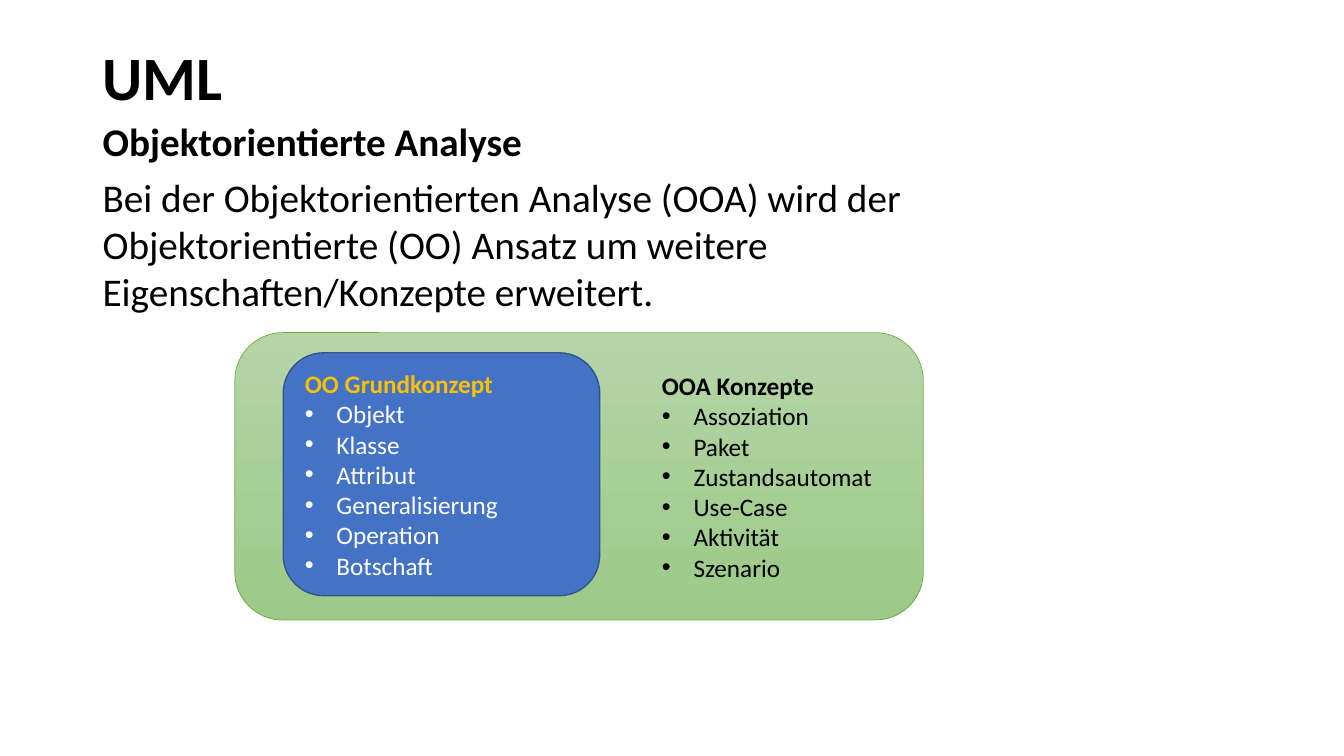
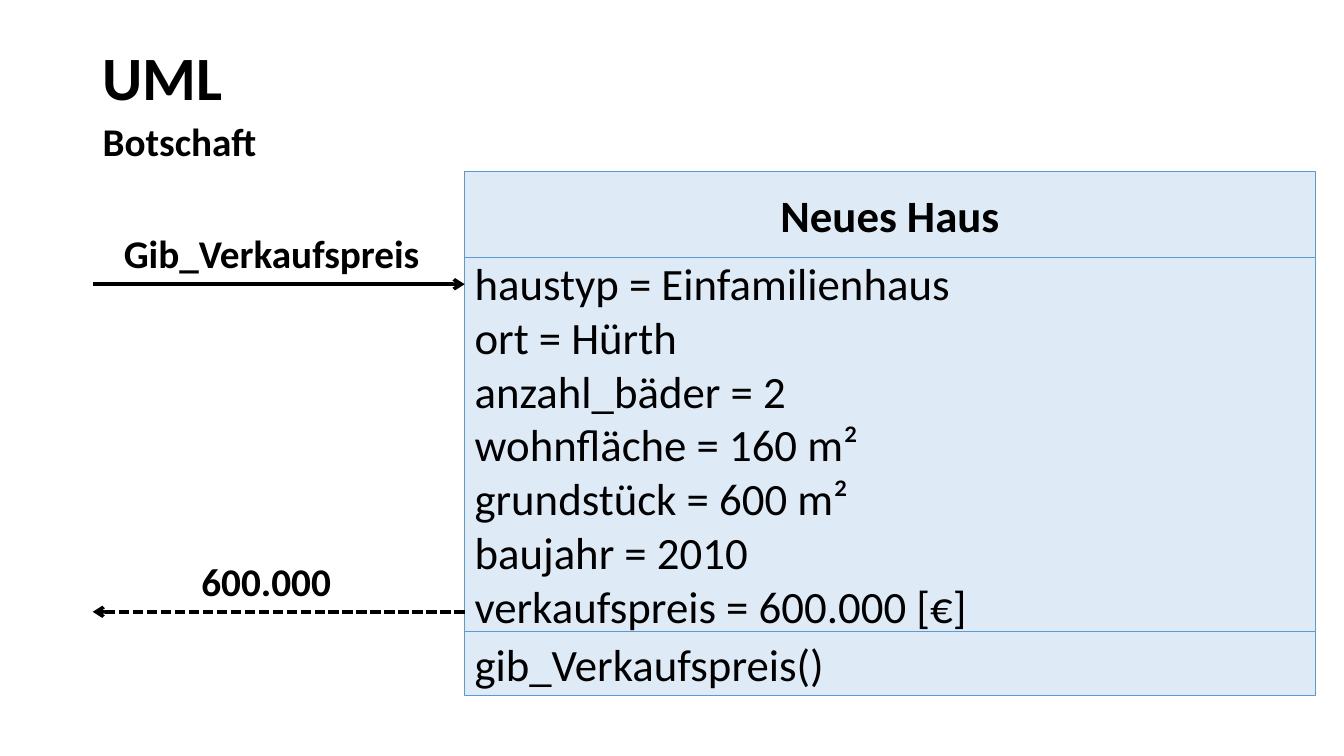
from dataclasses import dataclass
from typing import Optional, Sequence

import lxml.etree
import pptx
import pptx.dml.color
import pptx.enum.dml
import pptx.enum.shapes
import pptx.enum.text
import pptx.oxml.ns
import pptx.util

ALIGN = pptx.enum.text.PP_ALIGN
ANCHOR = pptx.enum.text.MSO_ANCHOR
SHAPE = pptx.enum.shapes.MSO_SHAPE
qn = pptx.oxml.ns.qn

FONT = "Calibri"
COLORS = {
    "text": "000000",
    "light": "FFFFFF",
    "accent": "FFC000",
    "core": "4472C4",
    "core_edge": "325491",
    "analysis_top": "B5D5A7",
    "analysis_bottom": "9CC987",
    "analysis_edge": "70AD47",
    "object": "DEEBF7",
    "object_edge": "5B9BD5",
}

# Grid of square cells, ten to the inch
CELL = pptx.util.Inches(0.1)
COLUMNS, ROWS = 133.33, 75
MARGIN = 9.2
HANGING = 3.13


@dataclass(frozen=True)
class Area:
    col: float
    row: float
    cols: float
    rows: float

    def emu(self) -> list[int]:
        return [cells(n) for n in (self.col, self.row, self.cols, self.rows)]


@dataclass(frozen=True)
class ConceptBox:
    area: Area
    heading: str
    concepts: Sequence[str]
    fills: Sequence[str]
    edge: str
    edge_width: float
    heading_color: str
    concept_color: str
    indent: float = 0


@dataclass(frozen=True)
class Compartment:
    rows: float
    lines: Sequence[str]
    bold: bool = False
    align: ALIGN = ALIGN.LEFT


@dataclass(frozen=True)
class Message:
    label: str
    row: float
    label_col: float
    label_cols: float
    reply: bool = False


CONCEPT_BOXES = (
    ConceptBox(Area(23.3, 33, 68.3, 28.5), "OOA Konzepte",
               ("Assoziation", "Paket", "Zustandsautomat", "Use-Case", "Aktivität", "Szenario"),
               ("analysis_top", "analysis_bottom"), "analysis_edge", 0.5,
               "text", "text", indent=40),
    ConceptBox(Area(28.1, 35, 31.4, 24.1), "OO Grundkonzept",
               ("Objekt", "Klasse", "Attribut", "Generalisierung", "Operation", "Botschaft"),
               ("core",), "core_edge", 1, "accent", "light"),
)

OBJECT_COL, OBJECT_ROW, OBJECT_COLS = 46.1, 17, 84.4
COMPARTMENTS = (
    Compartment(8.5, ("Neues Haus",), bold=True, align=ALIGN.CENTER),
    Compartment(37.1, ("haustyp = Einfamilienhaus", "ort = Hürth", "anzahl_bäder = 2",
                       "wohnfläche = 160 m²", "grundstück = 600 m²", "baujahr = 2010",
                       "verkaufspreis = 600.000 [€]")),
    Compartment(6.4, ("gib_Verkaufspreis()",)),
)
MESSAGES = (
    Message("Gib_Verkaufspreis", 28.2, 11.3, 31.6),
    Message("600.000", 60.7, 19, 16.3, reply=True),
)


def cells(count: float) -> int:
    return round(count * CELL)


def rgb(name: str) -> pptx.dml.color.RGBColor:
    return pptx.dml.color.RGBColor.from_string(COLORS[name])


def write(frame, text: str, *, size: float, color: str = "text", bold: bool = False,
          align: ALIGN = ALIGN.LEFT, spacing: Optional[float] = None,
          indent: float = 0, bullet: bool = False) -> None:
    """Add one paragraph, using the empty first one if it is still free."""
    paragraph = frame.paragraphs[0] if not frame.text else frame.add_paragraph()
    properties = paragraph._p.get_or_add_pPr()
    properties.set("marL", str(cells(indent + (HANGING if bullet else 0))))
    properties.set("indent", str(-cells(HANGING) if bullet else 0))
    paragraph.alignment = align
    if spacing:
        paragraph.line_spacing = spacing
    if bullet:
        lxml.etree.SubElement(properties, qn("a:buFont"), typeface="Arial")
        lxml.etree.SubElement(properties, qn("a:buChar"), char="•")
    run = paragraph.add_run()
    run.text = text
    run.font.name = FONT
    run.font.size = pptx.util.Pt(size)
    run.font.bold = bold
    run.font.color.rgb = rgb(color)


def add_text(slide, area: Area, text: str, *, anchor: ANCHOR = ANCHOR.TOP,
             wrap: bool = True, **text_format) -> None:
    frame = slide.shapes.add_textbox(*area.emu()).text_frame
    frame.word_wrap = wrap
    frame.vertical_anchor = anchor
    write(frame, text, **text_format)


def add_panel(slide, kind: SHAPE, area: Area, fills: Sequence[str], edge: str,
              edge_width: float):
    """Draw a filled outline and return its text frame."""
    panel = slide.shapes.add_shape(kind, *area.emu())
    panel.shadow.inherit = False
    if len(fills) > 1:
        panel.fill.gradient()
        panel.fill.gradient_angle = 270
        for stop, name in zip(panel.fill.gradient_stops, fills):
            stop.color.rgb = rgb(name)
    else:
        panel.fill.solid()
        panel.fill.fore_color.rgb = rgb(fills[0])
    panel.line.color.rgb = rgb(edge)
    panel.line.width = pptx.util.Pt(edge_width)
    panel.text_frame.word_wrap = True
    panel.text_frame.vertical_anchor = ANCHOR.MIDDLE
    return panel.text_frame


def add_concept_box(slide, box: ConceptBox) -> None:
    frame = add_panel(slide, SHAPE.ROUNDED_RECTANGLE, box.area, box.fills, box.edge,
                      box.edge_width)
    write(frame, box.heading, size=18, color=box.heading_color, bold=True, indent=box.indent)
    for concept in box.concepts:
        write(frame, concept, size=18, color=box.concept_color, indent=box.indent, bullet=True)


def add_object(slide) -> None:
    row = OBJECT_ROW
    for part in COMPARTMENTS:
        frame = add_panel(slide, SHAPE.RECTANGLE, Area(OBJECT_COL, row, OBJECT_COLS, part.rows),
                          ("object",), "object_edge", 0.5)
        for line in part.lines:
            write(frame, line, size=32, bold=part.bold, align=part.align)
        row += part.rows


def add_message(slide, message: Message) -> None:
    start, end = (OBJECT_COL, MARGIN) if message.reply else (MARGIN, OBJECT_COL)
    arrow = slide.shapes.add_connector(
        pptx.enum.shapes.MSO_CONNECTOR.STRAIGHT,
        cells(start), cells(message.row), cells(end), cells(message.row))
    arrow.line.color.rgb = rgb("text")
    arrow.line.width = pptx.util.Pt(2.5)
    if message.reply:
        arrow.line.dash_style = pptx.enum.dml.MSO_LINE.SQUARE_DOT
    properties = arrow._element.spPr
    lxml.etree.SubElement(properties.find(qn("a:ln")), qn("a:tailEnd"), type="arrow")
    lxml.etree.SubElement(properties, qn("a:effectLst"))
    add_text(slide, Area(message.label_col, message.row - 5.9, message.label_cols, 5.7),
             message.label, wrap=False, size=28, bold=True)


def add_titled_slide(deck, topic: str):
    slide = deck.slides.add_slide(deck.slide_layouts[6])
    add_text(slide, Area(MARGIN, 4, 115, 8), "UML", anchor=ANCHOR.MIDDLE,
             size=44, bold=True, spacing=0.9)
    add_text(slide, Area(MARGIN, 12, 115, 5), topic, size=28, bold=True, spacing=0.8)
    return slide


def main() -> None:
    deck = pptx.Presentation()
    deck.slide_width, deck.slide_height = cells(COLUMNS), cells(ROWS)

    # Object-oriented analysis
    analysis = add_titled_slide(deck, "Objektorientierte Analyse")
    add_text(analysis, Area(MARGIN, 16.7, 102.4, 15.1),
             "Bei der Objektorientierten Analyse (OOA) wird der Objektorientierte (OO) "
             "Ansatz um weitere Eigenschaften/Konzepte erweitert.", size=28)
    for box in CONCEPT_BOXES:
        add_concept_box(analysis, box)

    # Message to an object and its reply
    messaging = add_titled_slide(deck, "Botschaft")
    add_object(messaging)
    for message in MESSAGES:
        add_message(messaging, message)

    deck.save("out.pptx")


if __name__ == "__main__":
    main()
